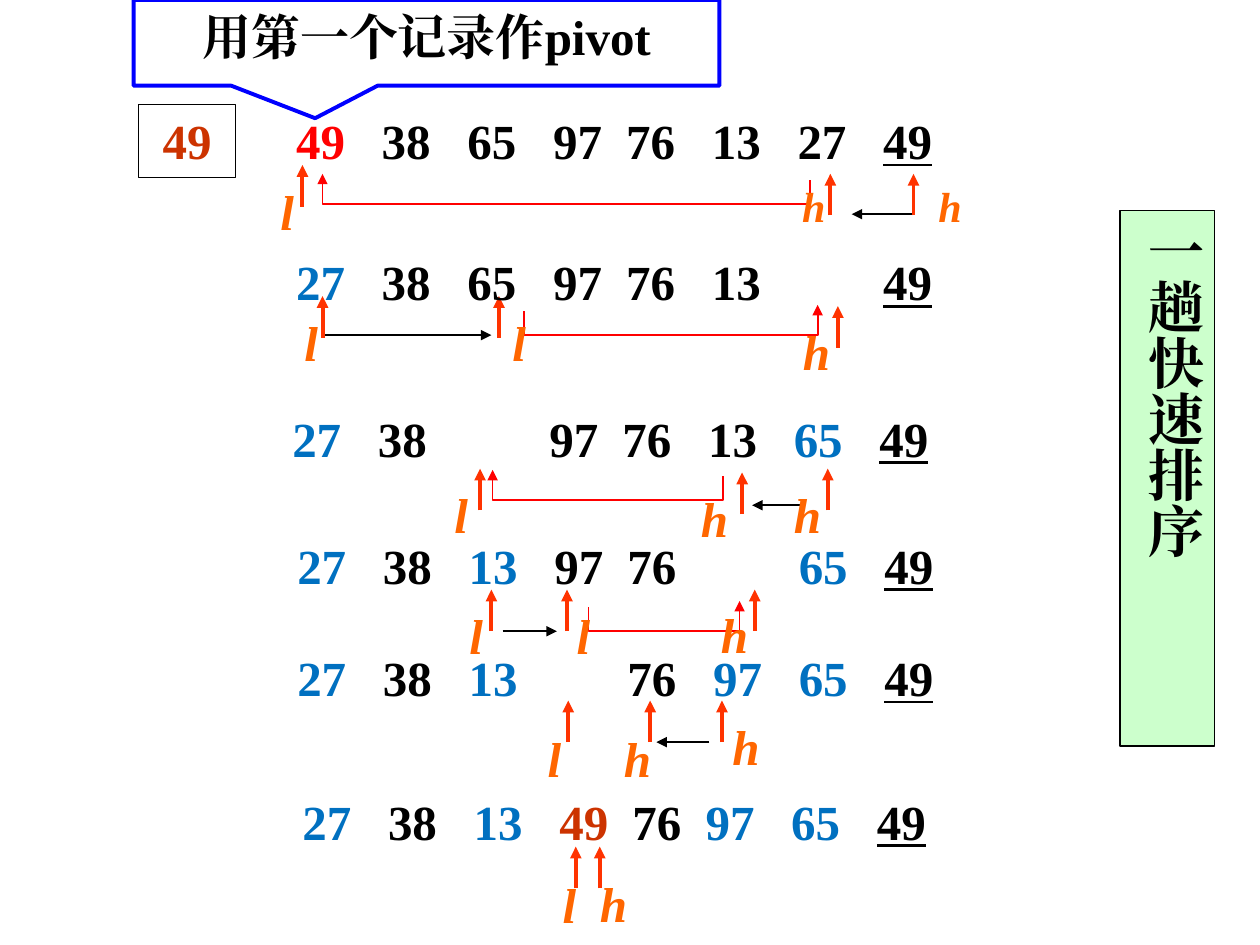
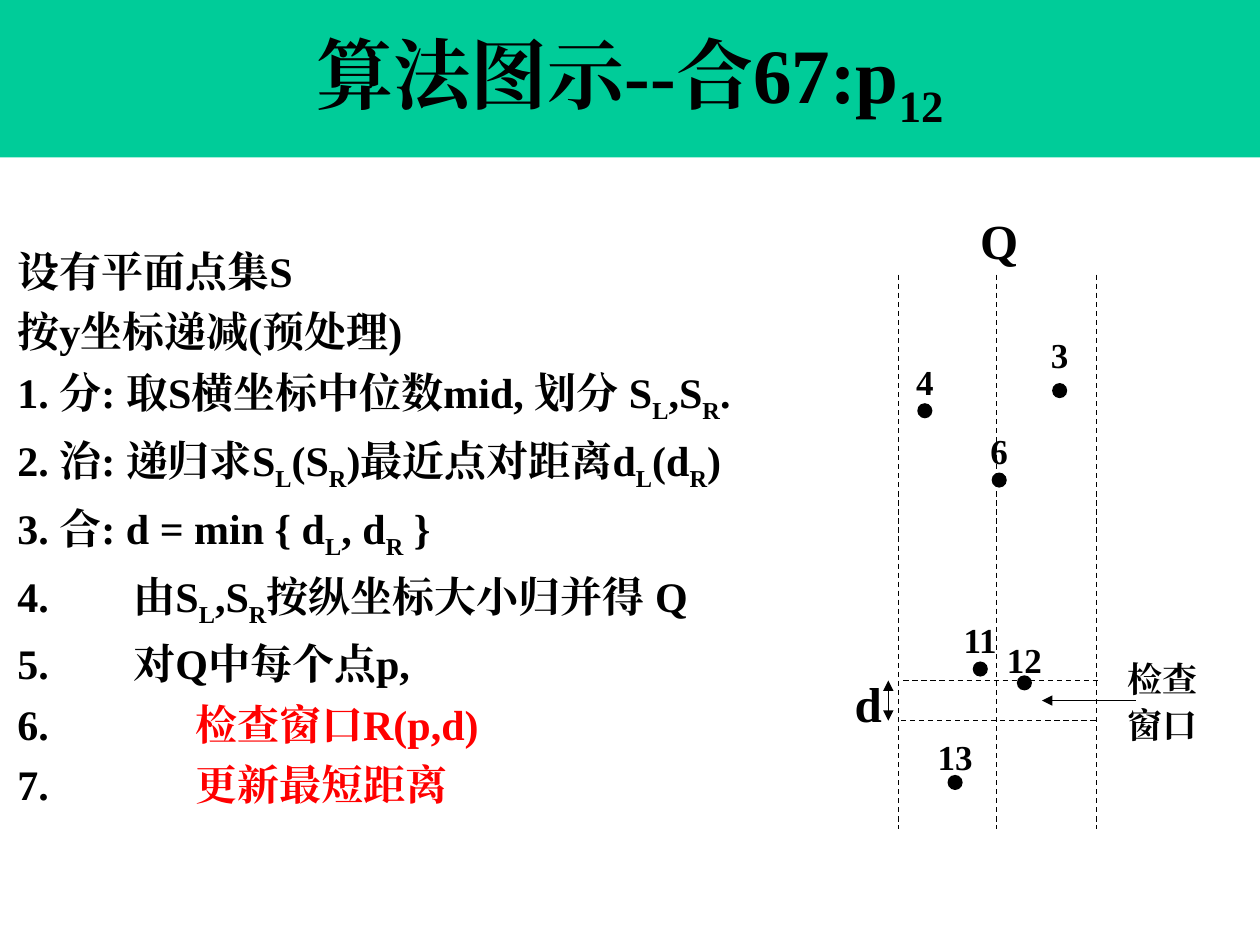
from pptx import Presentation
from pptx import util as u
from pptx.dml import color
from pptx.enum import dml, shapes, text
from pptx.oxml import ns
from lxml import etree

COLORS = {
    "black": "000000", "red": "FF0000", "moved": "0070C0", "pivot": "CC3300",
    "pointer": "FF3300", "letter": "FF6600", "callout": "0000FF",
    "note": "CCFFCC", "band": "00CC99",
}
FONT = "Times New Roman"
COLUMNS = [0, 0.68, 1.36, 2.04, 2.62, 3.3, 3.98, 4.66]
POINTER_LENGTH = 0.33
DOT = 0.12


def rgb(name):
    return color.RGBColor.from_string(COLORS[name])


def add_xml(parent, tag, **attributes):
    return etree.SubElement(parent, ns.qn(tag), attributes)


class Deck:
    """Holds the presentation, its style and the current slide."""

    def __init__(self):
        self.presentation = Presentation()
        self.presentation.slide_width = u.Inches(10)
        self.presentation.slide_height = u.Inches(7.5)
        self.slide = None

    def new_slide(self):
        self.slide = self.presentation.slides.add_slide(self.presentation.slide_layouts[6])

    def style(self, paragraph, size, fill="black", italic=False, align="LEFT", tabs=()):
        paragraph.alignment = getattr(text.PP_ALIGN, align)
        if tabs:
            stops = add_xml(paragraph._p.get_or_add_pPr(), "a:tabLst")
            for stop in tabs:
                add_xml(stops, "a:tab", pos=str(u.Inches(stop)), algn="l")
        font = paragraph.font
        font.name, font.size, font.bold, font.italic = FONT, u.Pt(size), True, italic
        font.color.rgb = rgb(fill)
        add_xml(paragraph._p.pPr.find(ns.qn("a:defRPr")), "a:ea", typeface=FONT)

    def add_runs(self, paragraph, marked, fill=None):
        """Add text in which every second part between ~ marks is a subscript."""
        for index, part in enumerate(marked.split("~")):
            if not part:
                continue
            run = paragraph.add_run()
            run.text = part
            if fill:
                run.font.color.rgb = rgb(fill)
            if index % 2:
                run._r.get_or_add_rPr().set("baseline", "-25000")

    def text_box(self, left, top, width, height, side_inset=0.1):
        box = self.slide.shapes.add_textbox(*map(u.Inches, (left, top, width, height)))
        frame = box.text_frame
        frame.word_wrap = True
        frame.margin_left = frame.margin_right = u.Inches(side_inset)
        return frame

    def label(self, words, centre, top, size=28, fill="black", italic=False):
        frame = self.text_box(centre - 0.5, top, 1, 0.5)
        for index, line in enumerate(words.split("\n")):
            paragraph = frame.add_paragraph() if index else frame.paragraphs[0]
            if index:
                paragraph.space_before = u.Pt(2)
            self.style(paragraph, size, fill, italic, "CENTER")
            self.add_runs(paragraph, line)

    def shape(self, kind, left, top, width, height, fill=None, line=None, weight=1):
        shape = self.slide.shapes.add_shape(
            getattr(shapes.MSO_SHAPE, kind), *map(u.Inches, (left, top, width, height)))
        self.paint(shape, fill, line, weight)
        frame = shape.text_frame
        frame.word_wrap = True
        frame.vertical_anchor = text.MSO_ANCHOR.TOP
        return shape

    def paint(self, shape, fill, line, weight):
        shape.shadow.inherit = False
        if fill:
            shape.fill.solid()
            shape.fill.fore_color.rgb = rgb(fill)
        else:
            shape.fill.background()
        if line:
            shape.line.color.rgb = rgb(line)
            shape.line.width = u.Pt(weight)
        else:
            shape.line.fill.background()

    def caption(self, shape, words, size, fill="black", align="CENTER"):
        paragraph = shape.text_frame.paragraphs[0]
        self.style(paragraph, size, fill, align=align)
        self.add_runs(paragraph, words)

    def line(self, start, end, fill="black", weight=0.75, ends=(), dashed=False):
        connector = self.slide.shapes.add_connector(
            shapes.MSO_CONNECTOR.STRAIGHT, *map(u.Inches, (*start, *end)))
        connector.line.color.rgb = rgb(fill)
        connector.line.width = u.Pt(weight)
        if dashed:
            connector.line.dash_style = dml.MSO_LINE.DASH
        self.arrowheads(connector, ends)
        add_xml(connector._element.spPr, "a:effectLst")

    def arrowheads(self, shape, ends):
        outline = shape._element.spPr.find(ns.qn("a:ln"))
        for end in ends:
            add_xml(outline, f"a:{end}", type="triangle")

    def bracket(self, start, end, bottom):
        """Draw the red arrow that carries a number to its new place."""
        points = [(start, bottom - 0.19), (start, bottom), (end, bottom), (end, bottom - 0.24)]
        points = [(u.Inches(x), u.Inches(y)) for x, y in points]
        builder = self.slide.shapes.build_freeform(*points[0])
        builder.add_line_segments(points[1:], close=False)
        shape = builder.convert_to_shape()
        self.paint(shape, None, "red", 1)
        self.arrowheads(shape, ["tailEnd"])

    def number_row(self, left, top, cells, late_shift=0):
        """Set numbers on tab stops; late_shift moves the last three columns."""
        offsets = [x + (late_shift if i > 4 else 0) for i, x in enumerate(COLUMNS)]
        filled = [(x, cell) for x, cell in zip(offsets, cells) if cell]
        paragraph = self.text_box(left, top, 6, 0.57, 0).paragraphs[0]
        self.style(paragraph, 28, tabs=[x for x, _ in filled[1:]])
        for index, (_, (number, fill)) in enumerate(filled):
            if index:
                self.add_runs(paragraph, "\t")
            self.add_runs(paragraph, number, fill)
        paragraph.runs[-1].font.underline = True


def numbers(words):
    """Turn words into cells: - is a gap; a trailing b, r or p gives the colour."""
    fills = {"b": "moved", "r": "red", "p": "pivot"}
    return [None if word == "-" else (word[:2], fills.get(word[2:], "black"))
            for word in words.split()]


# row: left, top, cells, late shift; letters: letter, centre, top, size
# pointers: x, tip; move: from x, to x, y; bracket: from x, to x, bottom
STEPS = [
    {"row": (2.35, 0.83, "49r 38 65 97 76 13 27 49"),
     "letters": [("l", 2.28, 1.39, 28), ("h", 6.46, 1.38, 24), ("h", 7.54, 1.38, 24)],
     "pointers": [(2.4, 1.31), (6.59, 1.38), (7.25, 1.38)],
     "move": (7.25, 6.76, 1.7), "bracket": (6.43, 2.56, 1.62)},
    {"row": (2.35, 1.95, "27b 38 65 97 76 13 - 49"),
     "letters": [("l", 2.47, 2.43, 28), ("l", 4.12, 2.43, 28), ("h", 6.48, 2.5, 28)],
     "pointers": [(2.56, 2.35), (3.96, 2.35), (6.65, 2.43)],
     "move": (2.56, 3.9, 2.66), "bracket": (4.16, 6.49, 2.66)},
    {"row": (2.32, 3.19, "27b 38 - 97 76 13 65b 49"),
     "letters": [("l", 3.66, 3.8, 28), ("h", 5.67, 3.83, 28), ("h", 6.41, 3.8, 28)],
     "pointers": [(3.81, 3.72), (5.89, 3.75), (6.57, 3.72)],
     "move": (6.39, 5.97, 4.01), "bracket": (5.74, 3.91, 3.97)},
    {"row": (2.36, 4.2, "27b 38 13b 97 76 - 65b 49"),
     "letters": [("l", 3.78, 4.76, 28), ("l", 4.63, 4.76, 28), ("h", 5.83, 4.75, 28)],
     "pointers": [(3.9, 4.68), (4.5, 4.68), (5.99, 4.68)],
     "move": (3.99, 4.42, 5.01), "bracket": (4.67, 5.87, 5.01)},
    {"row": (2.36, 5.09, "27b 38 13b - 76 97b 65b 49"),
     "letters": [("l", 4.4, 5.73, 28), ("h", 5.06, 5.73, 28), ("h", 5.92, 5.64, 28)],
     "pointers": [(4.51, 5.56), (5.16, 5.56), (5.73, 5.56)],
     "move": (5.63, 5.21, 5.89)},
    {"row": (2.4, 6.23, "27b 38 13b 49p 76 97b 65b 49", -0.1),
     "letters": [("l", 4.52, 6.89, 28), ("h", 4.87, 6.88, 28)],
     "pointers": [(4.57, 6.72), (4.76, 6.72)]},
]

# plain part, then the part in red; ~ encloses a subscript
ALGORITHM = [
    ("设有平面点集S", ""),
    ("按y坐标递减(预处理)", ""),
    ("1. 分: 取S横坐标中位数mid, 划分 S~L~,S~R~.", ""),
    ("2. 治: 递归求S~L~(S~R~)最近点对距离d~L~(d~R~)", ""),
    ("3. 合: d = min { d~L~, d~R~ }", ""),
    ("4.\t由S~L~,S~R~按纵坐标大小归并得 Q", ""),
    ("5.\t对Q中每个点p,", ""),
    ("6.\t\t", "检查窗口R(p,d)"),
    ("7.\t\t", "更新最短距离"),
]

# name, dot left, dot top, label top
POINTS = [
    ("3", 8.35, 3.04, 2.6), ("4", 7.28, 3.2, 2.81), ("6", 7.87, 3.75, 3.36),
    ("11", 7.72, 5.25, 4.86), ("12", 8.07, 5.36, 5.02), ("13", 7.52, 6.15, 5.79),
]


def build_partition_slide(deck):
    deck.new_slide()
    pivot = deck.shape("RECTANGLE", 1.1, 0.83, 0.77, 0.58, line="black")
    deck.caption(pivot, "49", 28, "pivot")
    note = deck.shape("RECTANGLE", 8.89, 1.67, 0.75, 4.25, "note", "black")
    note.text_frame._txBody.bodyPr.set("vert", "eaVert")
    deck.caption(note, "一趟快速排序", 32, align="LEFT")
    for step in STEPS:
        left, top, cells, *shift = step["row"]
        if "bracket" in step:
            deck.bracket(*step["bracket"])
        if "move" in step:
            start, end, y = step["move"]
            deck.line((start, y), (end, y), weight=1, ends=["tailEnd"])
        for x, tip in step["pointers"]:
            deck.line((x, tip + POINTER_LENGTH), (x, tip), "pointer", 2.25, ["tailEnd"])
        for letter, centre, letter_top, size in step["letters"]:
            deck.label(letter, centre, letter_top, size, "letter", italic=True)
        deck.number_row(left, top, numbers(cells), *shift)
    callout = deck.shape("RECTANGULAR_CALLOUT", 1.06, 0, 4.65, 0.68, line="callout", weight=2.25)
    callout.adjustments[0], callout.adjustments[1] = -0.19, 0.88
    deck.caption(callout, "用第一个记录作pivot", 28)


def build_closest_pair_slide(deck):
    deck.new_slide()
    band = deck.shape("RECTANGLE", 0, 0, 10, 1.25, "band")
    band.text_frame.vertical_anchor = text.MSO_ANCHOR.MIDDLE
    deck.caption(band, "算法图示--合67:p~12~", 44)

    frame = deck.text_box(0.04, 1.86, 6.02, 4.42)
    for index, (plain, red) in enumerate(ALGORITHM):
        paragraph = frame.add_paragraph() if index else frame.paragraphs[0]
        paragraph.line_spacing = 1.1
        paragraph.space_before = u.Pt(1.4 if index else 0)
        paragraph.space_after = u.Pt(1.4)
        deck.style(paragraph, 24, tabs=[0.92, 1.41] if "\t" in plain else ())
        deck.add_runs(paragraph, plain)
        deck.add_runs(paragraph, red, "red")

    for x in (7.13, 7.91, 8.7):
        deck.line((x, 2.18), (x, 6.58), dashed=True)
    for left, y in ((7.17, 5.4), (7.15, 5.72)):
        deck.line((left, y), (left + 1.55, y), dashed=True)
    for name, left, top, label_top in POINTS:
        deck.shape("OVAL", left, top, DOT, DOT, "black")
        deck.label(name, left + DOT / 2, label_top, 20)
    deck.label("Q", 7.93, 1.62)
    deck.label("d", 6.89, 5.3)
    deck.label("检查\n窗口", 9.23, 5.17, 20)
    deck.line((8.27, 5.56), (9.02, 5.56), ends=["headEnd"])
    deck.line((7.05, 5.72), (7.05, 5.4), ends=["headEnd", "tailEnd"])


def main():
    deck = Deck()
    build_partition_slide(deck)
    build_closest_pair_slide(deck)
    deck.presentation.save("out.pptx")


if __name__ == "__main__":
    main()
